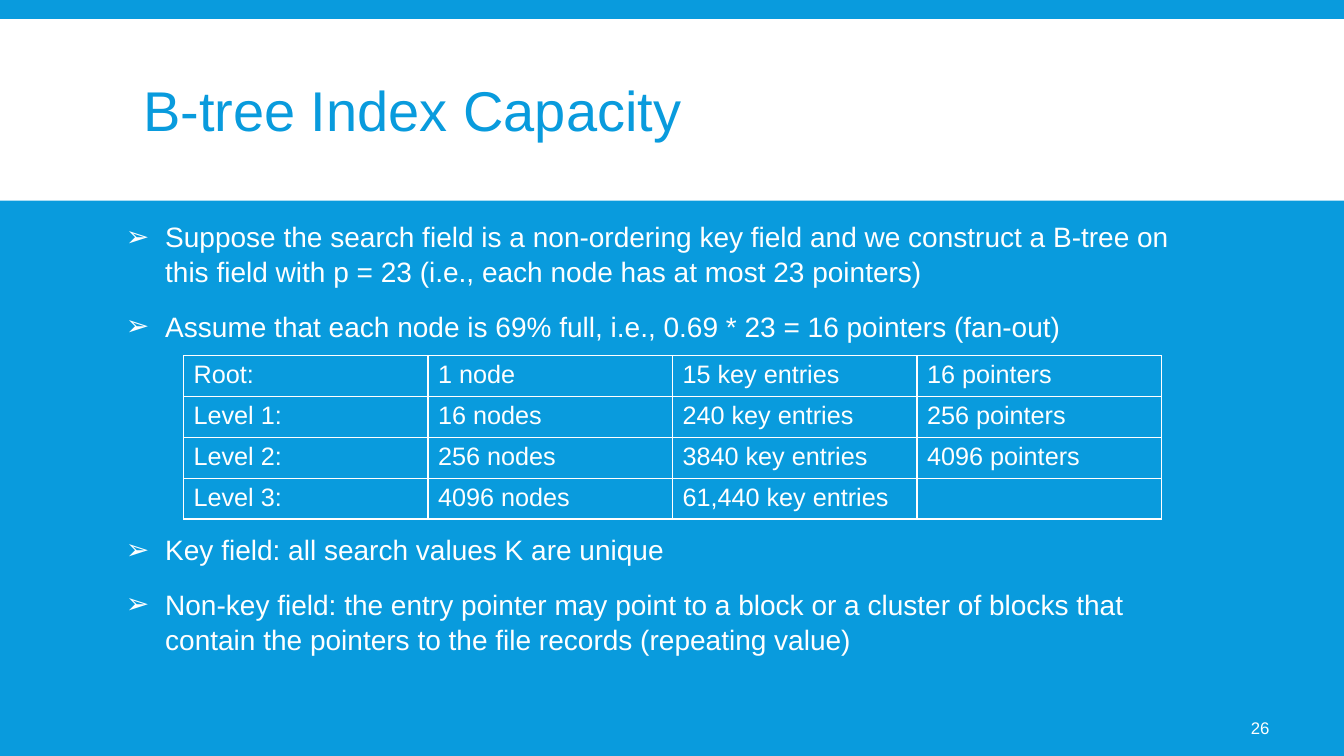
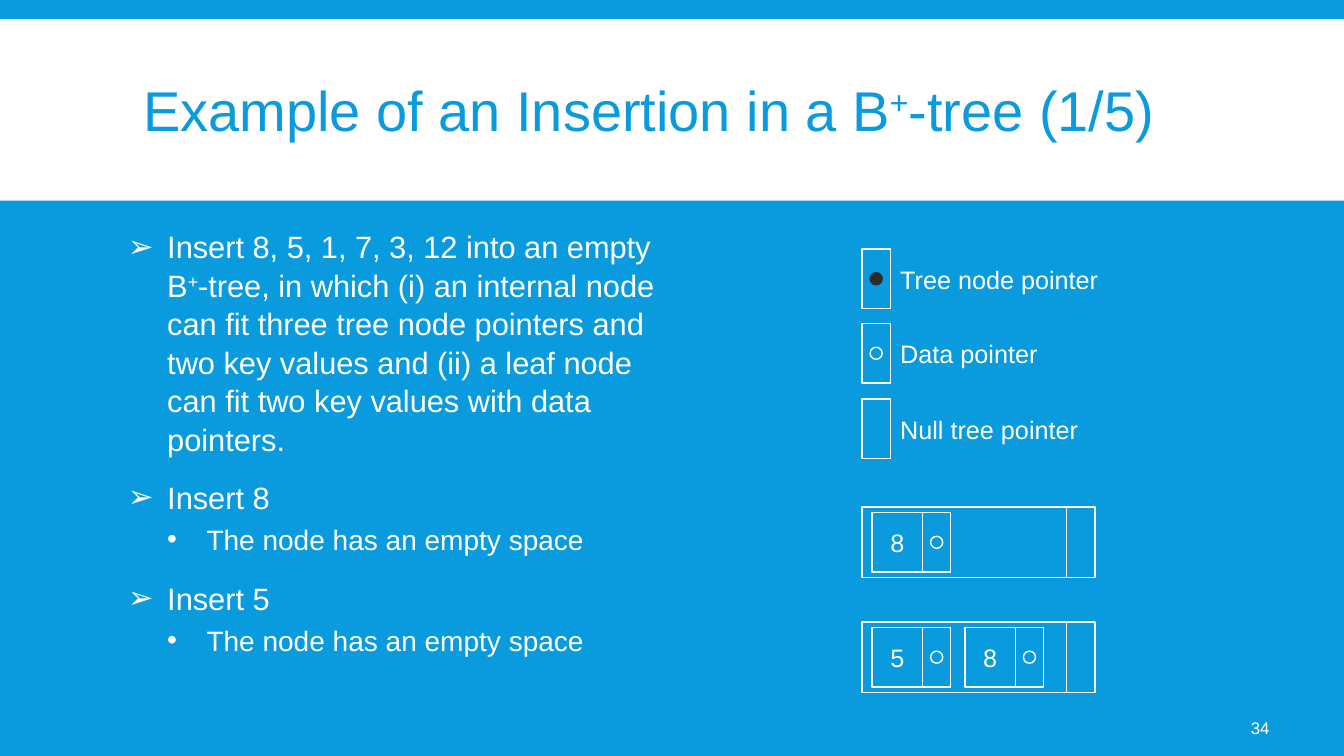
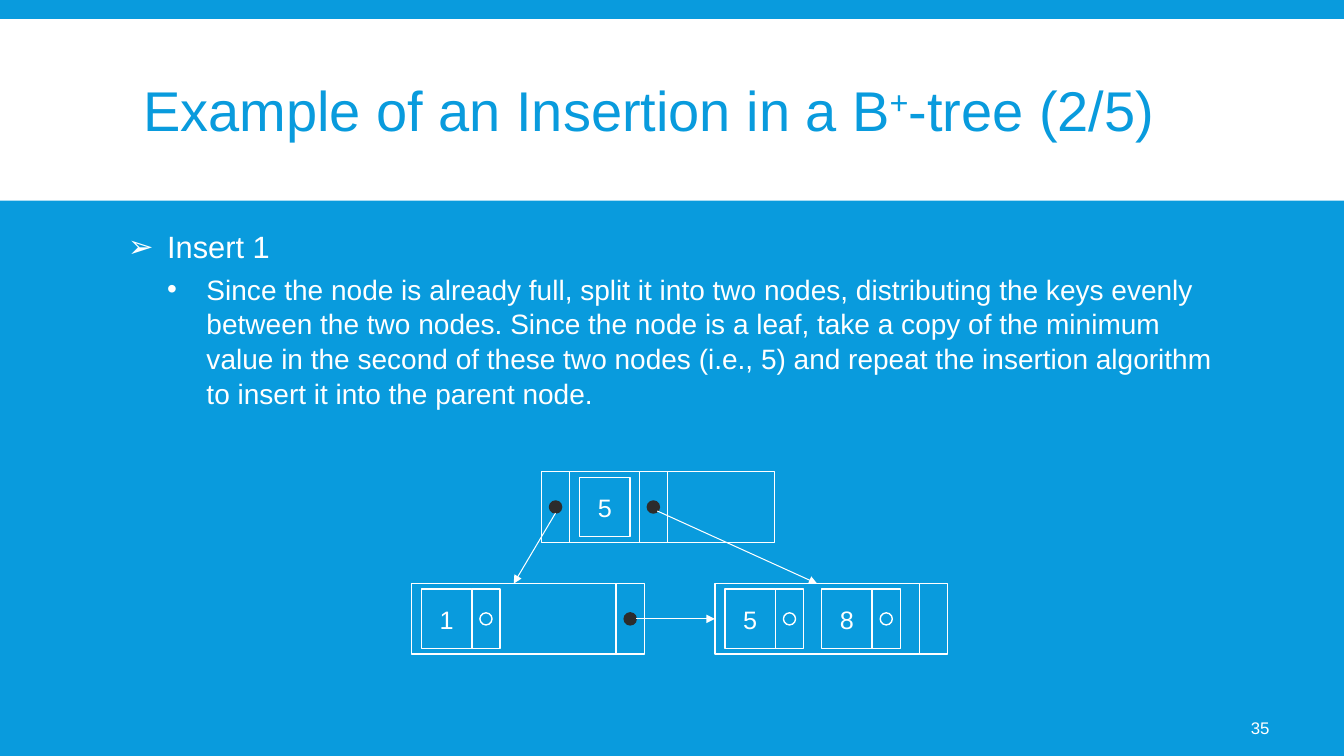
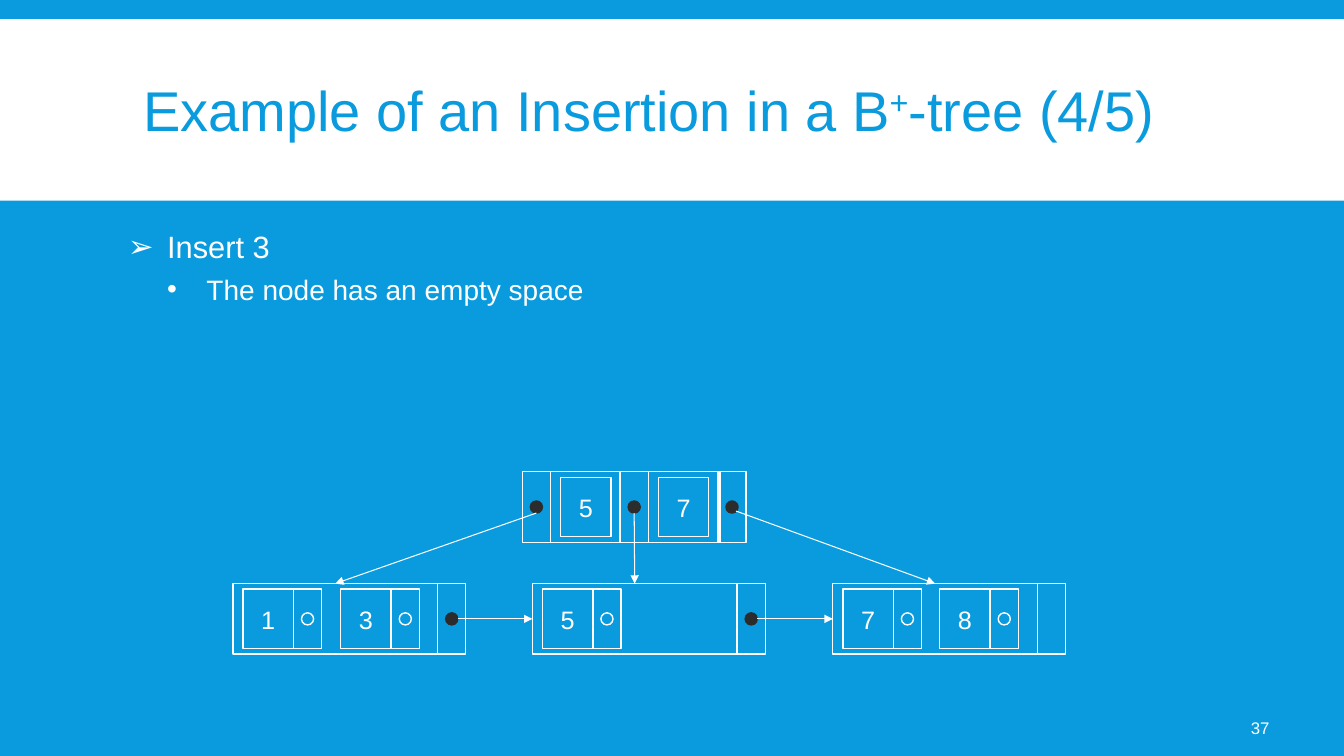
from dataclasses import dataclass
from enum import Enum
from typing import Any, NamedTuple

from lxml.etree import SubElement
from pptx import Presentation
from pptx.dml.color import RGBColor
from pptx.enum.shapes import MSO_CONNECTOR as Connector, MSO_SHAPE as Preset
from pptx.enum.text import MSO_ANCHOR as Anchor, MSO_AUTO_SIZE as AutoSize, PP_ALIGN as Align
from pptx.oxml.ns import qn
from pptx.shapes.autoshape import Shape
from pptx.slide import Slide, SlideLayout
from pptx.util import Inches, Pt

BLUE = RGBColor(0x09, 0x9B, 0xDD)
WHITE = RGBColor(0xFF, 0xFF, 0xFF)
DARK = RGBColor(0x2C, 0x2C, 0x2C)
FONT = "Arial"

SLIDE_WIDTH, SLIDE_HEIGHT = 13.33, 7.5
LINE_SPACING = 1.04
BULLET_INDENT = 0.39

NODE_HEIGHT, NODE_WIDTH = 0.7, 2.03
CELL_HEIGHT = 0.59
KEY_WIDTH, POINTER_WIDTH = 0.5, 0.28
DOT_SIZE = 0.12
CELL_GAP = 0.1
INNER_PITCH = 0.97
ROOT_TOP, LEAF_TOP = 4.68, 5.79


class Box(NamedTuple):
    left: float
    top: float
    width: float
    height: float

    def lengths(self) -> list[Inches]:
        return [Inches(value) for value in self]


class LevelStyle(NamedTuple):
    bullet: str
    left_margin: float
    before: float
    after: float


class Pointer(Enum):
    NULL = "null"
    DATA = "data"
    TREE = "tree"


class DotExit(Enum):
    """Where an arrow leaves a dot, measured from the dot's top left corner."""
    BOTTOM = (0.06, 0.12)
    LOWER_RIGHT = (0.1, 0.1)
    RIGHT = (0.12, 0.06)


@dataclass(frozen=True)
class Bullet:
    text: str
    size: float
    level: int = 0
    before: float | None = None


@dataclass(frozen=True)
class Leaf:
    left: float
    keys: tuple[str, ...]
    next_pointer: Pointer = Pointer.NULL
    top: float = LEAF_TOP
    pitch: float = 0.96


@dataclass(frozen=True)
class Inner:
    left: float
    keys: tuple[str, ...]
    frame_width: float


@dataclass(frozen=True)
class Tree:
    root: Inner
    leaves: tuple[Leaf, ...]
    exits: tuple[DotExit, ...]


class DrawnLeaf(NamedTuple):
    frame: Shape
    next_dot: Box


LEVELS = (
    LevelStyle("➢", BULLET_INDENT, 12, 2),
    LevelStyle("•", 2 * BULLET_INDENT, 2, 4),
)
BODY = Box(1.17, 2.2, 11, 4.6)

CAPACITY_BULLETS = (
    Bullet("Suppose the search field is a non-ordering key field and we construct a B-tree on "
           "this field with p = 23 (i.e., each node has at most 23 pointers)", 20),
    Bullet("Assume that each node is 69% full, i.e., 0.69 * 23 = 16 pointers (fan-out)", 20),
    Bullet("Key field: all search values K are unique", 20, before=132.5),
    Bullet("Non-key field: the entry pointer may point to a block or a cluster of blocks that "
           "contain the pointers to the file records (repeating value)", 20),
)
CAPACITY_ROWS = (
    ("Root:", "1 node", "15 key entries", "16 pointers"),
    ("Level 1:", "16 nodes", "240 key entries", "256 pointers"),
    ("Level 2:", "256 nodes", "3840 key entries", "4096 pointers"),
    ("Level 3:", "4096 nodes", "61,440 key entries", ""),
)
EMPTY_SPACE = Bullet("The node has an empty space", 20, level=1)
FIRST_INSERTIONS = (
    Bullet("Insert 8, 5, 1, 7, 3, 12 into an empty B⁺-tree, in which (i) an internal node can fit "
           "three tree node pointers and two key values and (ii) a leaf node can fit two key "
           "values with data pointers.", 22),
    Bullet("Insert 8", 22),
    EMPTY_SPACE,
    Bullet("Insert 5", 22),
    EMPTY_SPACE,
)
SPLIT_INSERTION = (
    Bullet("Insert 1", 22),
    Bullet("Since the node is already full, split it into two nodes, distributing the keys evenly "
           "between the two nodes. Since the node is a leaf, take a copy of the minimum value in "
           "the second of these two nodes (i.e., 5) and repeat the insertion algorithm to insert "
           "it into the parent node.", 20, level=1),
)
LEGEND = (
    (2.47, Pointer.TREE, "Tree node pointer"),
    (3.21, Pointer.DATA, "Data pointer"),
    (3.96, Pointer.NULL, "Null tree pointer"),
)
SPLIT_TREE = Tree(
    Inner(5.37, ("5",), NODE_WIDTH),
    (Leaf(4.08, ("1",), Pointer.TREE), Leaf(7.09, ("5", "8"))),
    (DotExit.BOTTOM, DotExit.LOWER_RIGHT),
)
THREE_LEAF_TREE = Tree(
    Inner(5.18, ("5", "7"), 1.68),
    (Leaf(2.31, ("1", "3"), Pointer.TREE, pitch=0.97),
     Leaf(5.28, ("5",), Pointer.TREE),
     Leaf(8.26, ("7", "8"))),
    (DotExit.BOTTOM, DotExit.BOTTOM, DotExit.LOWER_RIGHT),
)


def set_attributes(target: Any, values: dict[str, Any]) -> None:
    for name, value in values.items():
        setattr(target, name, value)


def add_runs(paragraph: Any, text: str, size: float, color: RGBColor = WHITE) -> None:
    """Write text, with the mark ⁺ set as a raised plus sign."""
    before, mark, after = text.partition("⁺")
    for part in (before, "+" if mark else "", after):
        if not part:
            continue
        run = paragraph.add_run()
        run.text = part
        set_attributes(run.font, {"name": FONT, "size": Pt(size), "bold": False})
        run.font.color.rgb = color
        if mark and part == "+":
            run.font._element.set("baseline", "30000")


def add_text(slide: Slide, box: Box, text: str, size: float,
             frame_format: dict[str, Any], align: Align = Align.LEFT) -> None:
    frame = slide.shapes.add_textbox(*box.lengths()).text_frame
    set_attributes(frame, frame_format)
    frame.paragraphs[0].alignment = align
    add_runs(frame.paragraphs[0], text, size)


def add_bullets(slide: Slide, box: Box, bullets: tuple[Bullet, ...]) -> None:
    frame = slide.shapes.add_textbox(*box.lengths()).text_frame
    frame.word_wrap = True
    for index, bullet in enumerate(bullets):
        paragraph = frame.paragraphs[0] if index == 0 else frame.add_paragraph()
        style = LEVELS[bullet.level]
        properties = paragraph._p.get_or_add_pPr()
        properties.set("marL", str(Inches(style.left_margin)))
        properties.set("indent", str(-Inches(BULLET_INDENT)))
        SubElement(SubElement(properties, qn("a:buClr")), qn("a:srgbClr"), val=str(WHITE))
        SubElement(properties, qn("a:buFont"), typeface=FONT)
        SubElement(properties, qn("a:buChar"), char=style.bullet)
        before = style.before if bullet.before is None else bullet.before
        set_attributes(paragraph, {
            "level": bullet.level,
            "line_spacing": LINE_SPACING,
            "space_before": Pt(before if index else 0),
            "space_after": Pt(style.after),
        })
        add_runs(paragraph, bullet.text, bullet.size)


def add_shape(slide: Slide, preset: Preset, box: Box, line: RGBColor | None = WHITE,
              fill: RGBColor | None = None) -> Shape:
    shape = slide.shapes.add_shape(preset, *box.lengths())
    shape.shadow.inherit = False
    if fill is None:
        shape.fill.background()
    else:
        shape.fill.solid()
        shape.fill.fore_color.rgb = fill
    if line is None:
        shape.line.fill.background()
    else:
        shape.line.color.rgb = line
        shape.line.width = Pt(1)
    return shape


def add_pointer(slide: Slide, left: float, top: float, height: float, kind: Pointer) -> Box:
    """Draw a pointer cell and return the place of its dot."""
    add_shape(slide, Preset.RECTANGLE, Box(left, top, POINTER_WIDTH, height))
    dot = Box(left + (POINTER_WIDTH - DOT_SIZE) / 2, top + (height - DOT_SIZE) / 2,
              DOT_SIZE, DOT_SIZE)
    if kind is Pointer.TREE:
        add_shape(slide, Preset.OVAL, dot, DARK, DARK)
    elif kind is Pointer.DATA:
        add_shape(slide, Preset.OVAL, dot)
    return dot


def add_key(slide: Slide, left: float, node_top: float, key: str) -> None:
    top = node_top + (NODE_HEIGHT - CELL_HEIGHT) / 2
    shape = add_shape(slide, Preset.RECTANGLE, Box(left, top, KEY_WIDTH, CELL_HEIGHT))
    frame = shape.text_frame
    frame.vertical_anchor = Anchor.MIDDLE
    frame.paragraphs[0].alignment = Align.CENTER
    add_runs(frame.paragraphs[0], key, 18)


def add_leaf(slide: Slide, leaf: Leaf) -> DrawnLeaf:
    frame = add_shape(slide, Preset.RECTANGLE,
                      Box(leaf.left, leaf.top, NODE_WIDTH, NODE_HEIGHT))
    next_dot = add_pointer(slide, leaf.left + NODE_WIDTH, leaf.top, NODE_HEIGHT,
                           leaf.next_pointer)
    for index, key in enumerate(leaf.keys):
        left = leaf.left + CELL_GAP + index * leaf.pitch
        add_key(slide, left, leaf.top, key)
        add_pointer(slide, left + KEY_WIDTH, leaf.top + (NODE_HEIGHT - CELL_HEIGHT) / 2,
                    CELL_HEIGHT, Pointer.DATA)
    return DrawnLeaf(frame, next_dot)


def add_inner(slide: Slide, inner: Inner) -> list[Box]:
    """Draw an internal node and return the places of its pointer dots."""
    add_shape(slide, Preset.RECTANGLE,
              Box(inner.left + POINTER_WIDTH, ROOT_TOP, inner.frame_width, NODE_HEIGHT))
    for index, key in enumerate(inner.keys):
        left = inner.left + POINTER_WIDTH + CELL_GAP + index * INNER_PITCH
        add_key(slide, left, ROOT_TOP, key)
    return [add_pointer(slide, inner.left + index * INNER_PITCH, ROOT_TOP, NODE_HEIGHT,
                        Pointer.TREE)
            for index in range(len(inner.keys) + 1)]


def add_arrow(slide: Slide, dot: Box, dot_exit: DotExit, target: Shape, side: int) -> None:
    across, down = dot_exit.value
    start = Inches(dot.left + across), Inches(dot.top + down)
    arrow = slide.shapes.add_connector(Connector.STRAIGHT, *start, *start)
    arrow.end_connect(target, side)
    arrow.line.color.rgb = WHITE
    arrow.line.width = Pt(0.75)
    properties = arrow.element.spPr
    SubElement(properties.find(qn("a:ln")), qn("a:tailEnd"), type="triangle")
    SubElement(properties, qn("a:effectLst"))


def add_tree(slide: Slide, tree: Tree) -> None:
    leaves = [add_leaf(slide, leaf) for leaf in tree.leaves]
    dots = add_inner(slide, tree.root)
    for dot, dot_exit, leaf in zip(dots, tree.exits, leaves):
        add_arrow(slide, dot, dot_exit, leaf.frame, 0)
    for leaf, following in zip(leaves, leaves[1:]):
        add_arrow(slide, leaf.next_dot, DotExit.RIGHT, following.frame, 1)


def add_legend(slide: Slide) -> None:
    left = 8.55
    for top, kind, label in LEGEND:
        add_pointer(slide, left, top, CELL_HEIGHT, kind)
        add_text(slide, Box(left + POINTER_WIDTH, top + 0.1, 2.18, 0.4), label, 18,
                 {"word_wrap": False})


def add_capacity_table(slide: Slide) -> None:
    box = Box(1.82, 3.53, 9.7, 1.62)
    table = slide.shapes.add_table(len(CAPACITY_ROWS), len(CAPACITY_ROWS[0]),
                                   *box.lengths()).table
    set_attributes(table, {"first_row": False, "horz_banding": False})
    for row_index, texts in enumerate(CAPACITY_ROWS):
        for column_index, text in enumerate(texts):
            cell = table.cell(row_index, column_index)
            cell.fill.background()
            add_runs(cell.text_frame.paragraphs[0], text, 18)
            add_borders(cell)


def add_borders(cell: Any) -> None:
    properties = cell._tc.get_or_add_tcPr()
    for index, side in enumerate(("lnL", "lnR", "lnT", "lnB")):
        line = SubElement(properties, qn(f"a:{side}"), w=str(Pt(1)))
        SubElement(SubElement(line, qn("a:solidFill")), qn("a:srgbClr"), val=str(WHITE))
        properties.insert(index, line)


def add_slide(presentation: Any, layout: SlideLayout, title: str, number: int) -> Slide:
    slide = presentation.slides.add_slide(layout)
    shape = slide.shapes.title
    box = Box(1.32, 0.31, 10.7, 1.65)
    set_attributes(shape, dict(zip(("left", "top", "width", "height"), box.lengths())))
    frame = shape.text_frame
    set_attributes(frame, {"vertical_anchor": Anchor.MIDDLE, "word_wrap": True,
                           "auto_size": AutoSize.NONE})
    paragraph = frame.paragraphs[0]
    set_attributes(paragraph, {"alignment": Align.LEFT, "line_spacing": 0.85})
    add_runs(paragraph, title, 40, BLUE)
    add_text(slide, Box(11.66, 7.02, 1.03, 0.4), str(number), 12,
             {"word_wrap": True, "vertical_anchor": Anchor.MIDDLE,
              "margin_left": Inches(0.05)}, Align.RIGHT)
    return slide


def add_shared_band(slide: Slide, layout: SlideLayout) -> None:
    """Draw the title band and move it to the layout, behind every slide."""
    band = add_shape(slide, Preset.RECTANGLE, Box(0, 0.19, SLIDE_WIDTH, 1.8), None, WHITE)
    layout.shapes.element.insert(2, band.element)


def main() -> None:
    presentation = Presentation()
    presentation.slide_width = Inches(SLIDE_WIDTH)
    presentation.slide_height = Inches(SLIDE_HEIGHT)
    layout = presentation.slide_layouts[5]
    layout.background.fill.solid()
    layout.background.fill.fore_color.rgb = BLUE

    capacity = add_slide(presentation, layout, "B-tree Index Capacity", 26)
    add_shared_band(capacity, layout)
    add_bullets(capacity, Box(1.15, 2.12, 11.03, 5.46), CAPACITY_BULLETS)
    add_capacity_table(capacity)

    insertion = "Example of an Insertion in a B⁺-tree"
    first = add_slide(presentation, layout, f"{insertion} (1/5)", 34)
    add_bullets(first, BODY._replace(width=5.65), FIRST_INSERTIONS)
    add_legend(first)
    for top, keys in ((5.03, ("8",)), (6.17, ("5", "8"))):
        add_leaf(first, Leaf(8.55, keys, top=top, pitch=0.92))

    split = add_slide(presentation, layout, f"{insertion} (2/5)", 35)
    add_bullets(split, BODY, SPLIT_INSERTION)
    add_tree(split, SPLIT_TREE)

    three_leaves = add_slide(presentation, layout, f"{insertion} (4/5)", 37)
    add_bullets(three_leaves, BODY, (Bullet("Insert 3", 22), EMPTY_SPACE))
    add_tree(three_leaves, THREE_LEAF_TREE)

    presentation.save("out.pptx")


if __name__ == "__main__":
    main()
